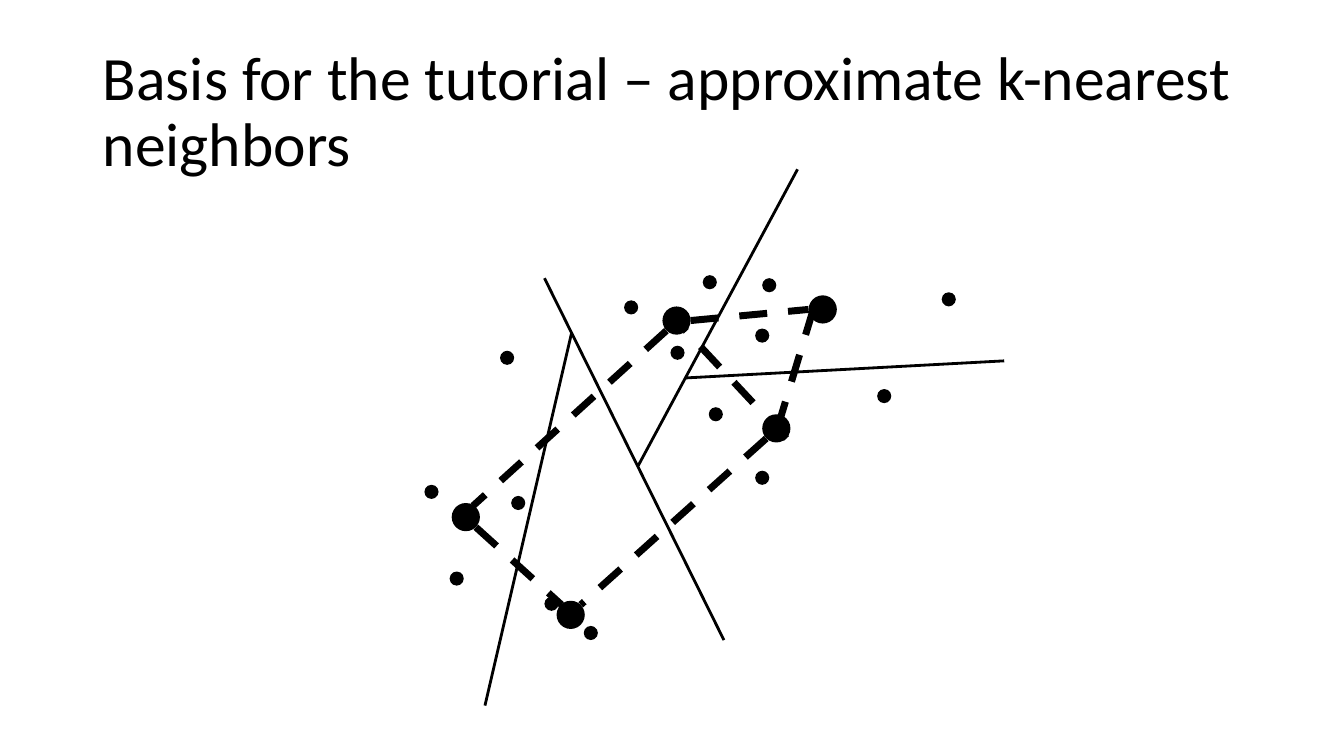
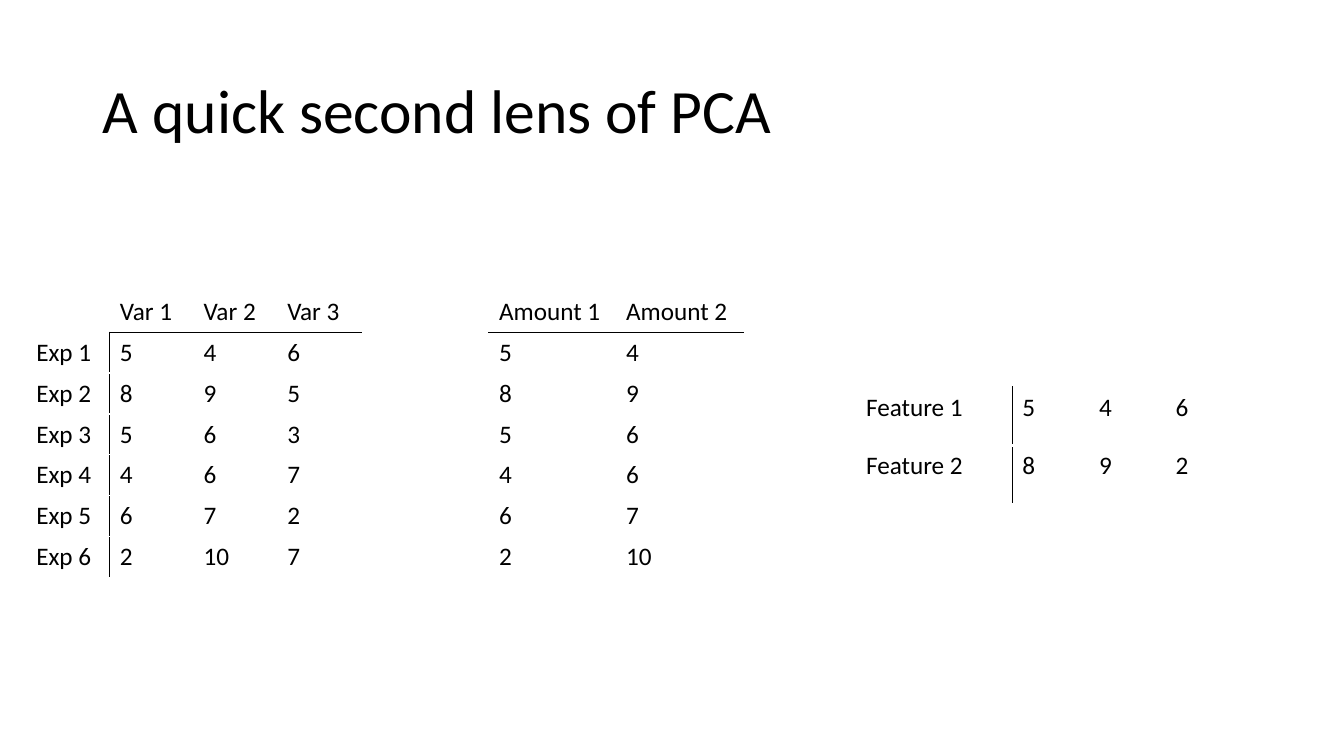
from lxml import etree
from pptx import Presentation
from pptx.dml.color import RGBColor
from pptx.enum.dml import MSO_LINE as Dash
from pptx.enum.shapes import MSO_CONNECTOR as Link, MSO_SHAPE as Kind
from pptx.enum.text import MSO_ANCHOR as Anchor, MSO_AUTO_SIZE as Auto, PP_ALIGN as Align
from pptx.oxml.ns import qn
from pptx.util import Inches, Pt

BLACK = RGBColor(0x00, 0x00, 0x00)
WHITE = RGBColor(0xFF, 0xFF, 0xFF)

# Shared formats
HEAD = {"name": "Calibri", "size": Pt(44), "bold": False}
CELL = {"name": "Calibri", "size": Pt(18), "bold": False}
FRAME = {"vertical_anchor": Anchor.MIDDLE, "auto_size": Auto.NONE, "word_wrap": True}
PARA = {"alignment": Align.LEFT, "line_spacing": 0.9}
PLAIN = {"first_row": False, "horz_banding": False}
PLACE = {"left": Inches(0.92), "top": Inches(0.4),
         "width": Inches(11.5), "height": Inches(1.45)}


def apply(item, form):
    for key, value in form.items():
        setattr(item, key, value)


class Deck:
    """Holds the style and the current slide."""

    def __init__(self):
        self.file = Presentation()
        self.file.slide_width = Inches(13.33)
        self.file.slide_height = Inches(7.5)
        self.slide = None

    def page(self, text):
        self.slide = self.file.slides.add_slide(self.file.slide_layouts[5])
        title = self.slide.shapes.title
        apply(title, PLACE)
        title.text_frame.text = text
        apply(title.text_frame, FRAME)
        para = title.text_frame.paragraphs[0]
        apply(para, PARA)
        self.ink(para, HEAD)

    def ink(self, para, form):
        apply(para.font, form)
        para.font.color.rgb = BLACK
        for run in para.runs:
            apply(run.font, form)
            run.font.color.rgb = BLACK

    def dot(self, left, top, size):
        dot = self.slide.shapes.add_shape(
            Kind.OVAL, Inches(left), Inches(top), Inches(size), Inches(size))
        dot.shadow.inherit = False
        dot.fill.solid()
        dot.fill.fore_color.rgb = BLACK
        dot.line.fill.background()

    def line(self, ends, width, dash=None):
        line = self.slide.shapes.add_connector(Link.STRAIGHT, *map(Inches, ends))
        line.line.color.rgb = BLACK
        apply(line.line, {"width": Pt(width), "dash_style": dash})
        etree.SubElement(line.element.spPr, qn("a:effectLst"))

    def edge(self, cell, side, color, width):
        edge = etree.SubElement(cell._tc.get_or_add_tcPr(), qn("a:ln" + side),
                                w=str(Pt(width)))
        fill = etree.SubElement(edge, qn("a:solidFill"))
        etree.SubElement(fill, qn("a:srgbClr"), val=str(color))

    def table(self, left, top, cols, high, rows, head=False, stub=False, gap=1):
        """Head draws a rule below row 0, stub a rule right of column 0."""
        table = self.slide.shapes.add_table(
            len(rows), len(cols), Inches(left), Inches(top),
            Inches(sum(cols)), Inches(high * len(rows))).table
        apply(table, PLAIN)
        for col, wide in zip(table.columns, cols):
            col.width = Inches(wide)
        for r, row in enumerate(rows):
            table.rows[r].height = Inches(high)
            for c, text in enumerate(row):
                cell = table.cell(r, c)
                cell.text = str(text)
                self.ink(cell.text_frame.paragraphs[0], CELL)
                # Black rules, white everywhere else
                body = r >= head
                data = c >= stub
                dark = {"L": stub and body and c == 1,
                        "R": stub and body and c == 0,
                        "T": head and data and r == 1,
                        "B": head and data and r == 0}
                for side, rule in dark.items():
                    inner = (side == "B" and r == 0) or (side == "T" and r == 1)
                    self.edge(cell, side, BLACK if rule else WHITE,
                              gap if inner and not rule else 1)
                cell.fill.background()


def graph(deck):
    deck.page("Basis for the tutorial – approximate k-nearest neighbors")
    # Data points
    for spot in ((4.96, 3.48), (6.97, 2.73), (4.46, 5.67), (4.21, 4.81), (6.19, 2.98),
                 (8.7, 3.86), (5.79, 6.21), (7.56, 2.76), (5.07, 4.92), (6.65, 3.43),
                 (5.4, 5.92), (7.03, 4.04), (9.34, 2.9), (7.49, 4.67), (7.49, 3.26)):
        deck.dot(*spot, 0.14)
    # Splits between regions
    for ends in ((5.4, 2.76, 7.18, 6.35), (6.33, 4.62, 7.91, 1.68),
                 (4.81, 7, 5.67, 3.3), (9.96, 3.58, 6.79, 3.75)):
        deck.line(ends, 2)
    # Hubs and the links between them
    for spot in ((4.48, 4.99), (5.52, 5.96), (7.56, 4.11), (8.02, 2.93), (6.57, 3.04)):
        deck.dot(*spot, 0.28)
    for ends in ((6.85, 3.18, 8.02, 3.07), (7.71, 4.25, 8.06, 3.09),
                 (7.8, 4.35, 6.8, 3.28), (7.6, 4.35, 5.76, 6),
                 (4.72, 5.23, 5.57, 6), (6.61, 3.28, 4.69, 5.02)):
        deck.line(ends, 5, Dash.DASH)


def lens(deck):
    deck.page("A quick second lens of PCA")
    data = [(5, 4, 6), (8, 9, 5), (5, 6, 3), (4, 6, 7), (6, 7, 2), (2, 10, 7)]
    # Experiments by variables
    full = [("", "Var 1", "Var 2", "Var 3")]
    full += [(f"Exp {n}", *row) for n, row in enumerate(data, 1)]
    deck.table(0.26, 2.89, [0.83] * 4, 0.4, full, head=True, stub=True, gap=3)
    # Amounts of each feature
    part = [("Amount 1", "Amount 2"), *(row[:2] for row in data), ("", "")]
    deck.table(4.85, 2.89, [1.26] * 2, 0.4, part, head=True)
    # Features
    deck.table(8.49, 3.84, [1.55] + [0.76] * 3, 0.58,
               [("Feature 1", 5, 4, 6), ("Feature 2", 8, 9, 2)], stub=True, gap=3)


def main():
    deck = Deck()
    graph(deck)
    lens(deck)
    deck.file.save("out.pptx")


if __name__ == "__main__":
    main()
